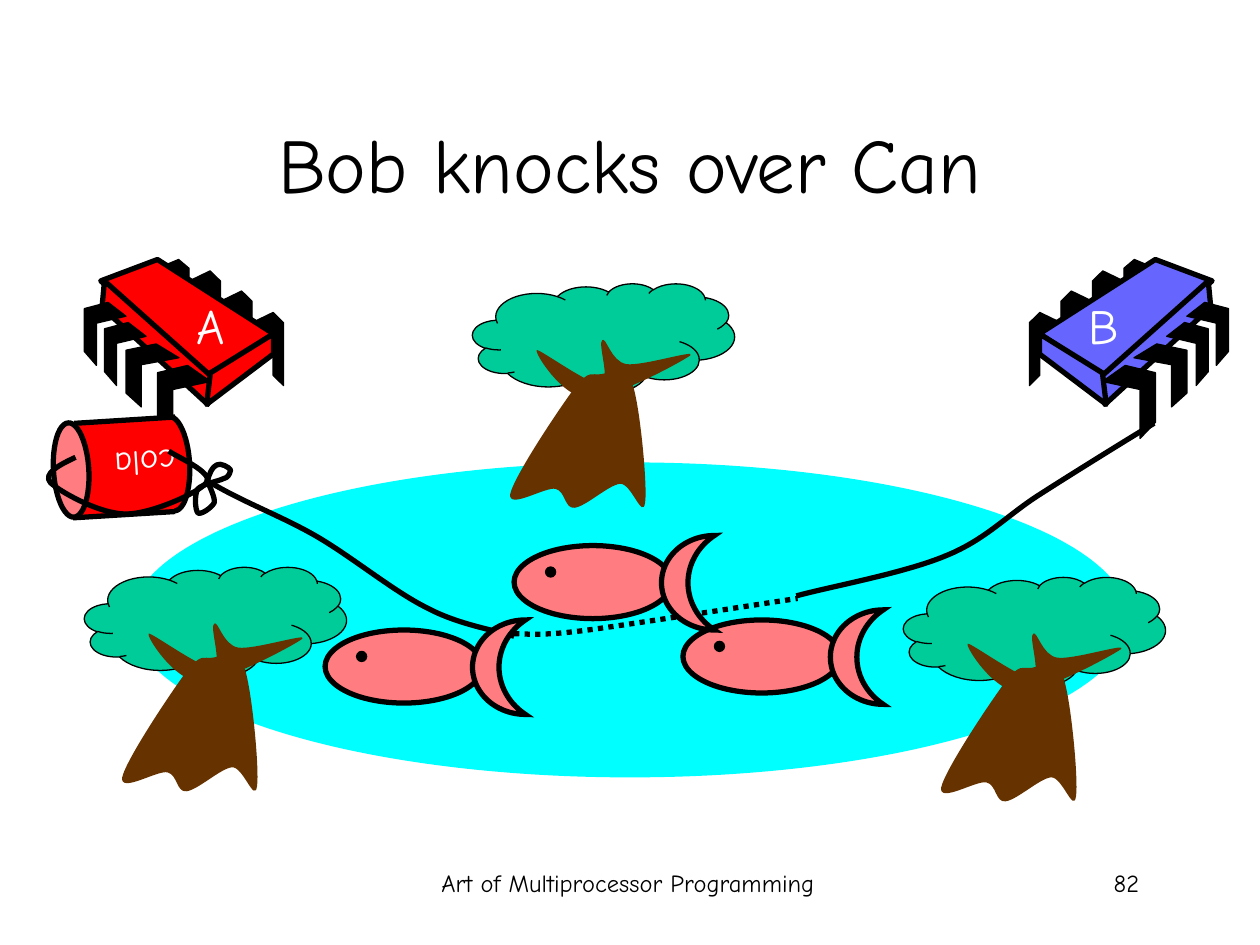
from dataclasses import dataclass

from lxml.etree import SubElement
from pptx import Presentation
from pptx.dml.color import RGBColor
from pptx.enum.dml import MSO_LINE
from pptx.enum.shapes import MSO_CONNECTOR, MSO_SHAPE
from pptx.enum.text import MSO_ANCHOR, MSO_AUTO_SIZE, PP_ALIGN
from pptx.oxml.ns import qn
from pptx.util import Inches, Pt

FONT = "Comic Neue"
BLACK = RGBColor(0x00, 0x00, 0x00)
WHITE = RGBColor(0xFF, 0xFF, 0xFF)
RED = RGBColor(0xFF, 0x00, 0x00)
VIOLET = RGBColor(0x66, 0x66, 0xFF)
CYAN = RGBColor(0x00, 0xFF, 0xFF)
GREEN = RGBColor(0x00, 0xCC, 0x99)
BROWN = RGBColor(0x66, 0x33, 0x00)
PINK = RGBColor(0xFF, 0x7C, 0x80)
THIN, THICK = 0.75, 3
MIRROR_SUM = 10.42

Points = list[tuple[float, float]]


@dataclass
class Chip:
    color: RGBColor
    mirrored: bool


@dataclass
class Spot:
    x: float
    y: float


BACK_LEG = [(0, 0.14), (0.67, 0), (1, 0.14), (1, 1), (0.67, 0.86), (0.67, 0.29), (0, 0.43)]
FRONT_LEG = [(0.57, 0), (1, 0.22), (0.29, 0.33), (0.29, 1), (0, 0.78), (0, 0.1)]
BACK_LEGS = [(2, 2.48, 0.25, 0.58), (1.75, 2.31, 0.25, 0.58),
             (1.5, 2.15, 0.25, 0.58), (1.25, 2.06, 0.25, 0.5)]
FRONT_LEGS = [(1.25, 2.9, 0.42, 0.58), (1, 2.73, 0.42, 0.5),
              (0.83, 2.56, 0.33, 0.5), (0.67, 2.4, 0.33, 0.5)]
CHIP_FACES = [
    [(1.25, 2.06), (2.17, 2.65), (1.65, 2.99), (0.8, 2.23)],
    [(0.83, 2.23), (1.67, 2.98), (1.65, 3.21), (0.81, 2.44)],
    [(2.17, 2.65), (2.17, 2.81), (1.64, 3.21), (1.67, 2.96)],
]
TRUNK = [(0.81, 0.83), (0.93, 0.68), (0.94, 0.73), (1.02, 0.72),
         (1.09, 0.71), (1.21, 0.63), (1.27, 0.8), (1.33, 0.97), (1.39, 1.61), (1.37, 1.74),
         (1.35, 1.88), (1.26, 1.58), (1.17, 1.59), (1.08, 1.6), (0.9, 1.77), (0.81, 1.78),
         (0.73, 1.79), (0.74, 1.65), (0.66, 1.63), (0.58, 1.61), (0.28, 1.8), (0.3, 1.67),
         (0.33, 1.53), (0.69, 0.99), (0.81, 0.83)]
BRANCHES = [(0.51, 0.53), (0.49, 0.55), (0.71, 0.9), (0.91, 0.91),
            (1.12, 0.92), (1.68, 0.61), (1.73, 0.57), (1.78, 0.52), (1.34, 0.66), (1.22, 0.64),
            (1.1, 0.62), (1.06, 0.42), (1.03, 0.45), (0.99, 0.47), (1.1, 0.78), (1.02, 0.8),
            (0.93, 0.81), (0.52, 0.51), (0.51, 0.53)]
BOW = [(1.65, 3.82), (1.65, 3.77), (1.69, 3.7), (1.72, 3.69),
       (1.75, 3.67), (1.82, 3.71), (1.83, 3.73), (1.82, 3.77), (1.81, 3.79), (1.77, 3.8),
       (1.73, 3.82), (1.61, 3.84), (1.57, 3.88), (1.54, 3.93), (1.55, 4.05), (1.57, 4.07),
       (1.59, 4.09), (1.68, 4.03), (1.7, 3.99), (1.71, 3.95), (1.66, 3.86), (1.65, 3.82)]
LOOP = [(0.6, 3.63), (0.47, 3.69), (0.34, 3.76), (0.4, 3.83),
        (0.47, 3.9), (0.79, 4.08), (1, 4.08), (1.2, 4.08), (1.58, 3.91), (1.64, 3.83),
        (1.7, 3.75), (1.39, 3.62), (1.34, 3.58)]
LEFT_ROPE = [(1.67, 3.83), (1.94, 3.99), (2.22, 4.09), (2.5, 4.25),
             (2.78, 4.41), (3.12, 4.69), (3.38, 4.82), (3.64, 4.96), (3.93, 5), (4.08, 5.05)]
RIGHT_ROPE = [(9.16, 3.36), (9.01, 3.45), (8.54, 3.74), (8.26, 3.92),
              (7.99, 4.09), (7.83, 4.28), (7.51, 4.41), (7.18, 4.55), (6.57, 4.66), (6.32, 4.73)]
SUNKEN_ROPE = [(4.08, 5.03), (4.18, 5.03), (4.29, 5.05), (4.67, 5),
               (5.04, 4.95), (6.06, 4.79), (6.33, 4.75)]


def paint(sp, fill: RGBColor | None, line: float | None):
    sp.shadow.inherit = False
    if fill is None:
        sp.fill.background()
    else:
        sp.fill.solid()
        sp.fill.fore_color.rgb = fill
    if line is None:
        sp.line.fill.background()
    else:
        sp.line.color.rgb = BLACK
        sp.line.width = Pt(line)
    return sp


def shape(shapes, kind, x: float, y: float, w: float, h: float, fill: RGBColor,
          line: float | None = None, rotation: float = 0):
    sp = shapes.add_shape(kind, Inches(x), Inches(y), Inches(w), Inches(h))
    sp.rotation = rotation
    return paint(sp, fill, line)


def polygon(shapes, points: Points, fill: RGBColor | None = None,
            line: float | None = None, close: bool = True):
    start, *rest = [(Inches(x), Inches(y)) for x, y in points]
    builder = shapes.build_freeform(*start)
    builder.add_line_segments(rest, close=close)
    return paint(builder.convert_to_shape(), fill, line)


def curve(shapes, points: Points, fill: RGBColor | None = None,
          line: float | None = None, close: bool = True):
    sp = polygon(shapes, points, fill, line, close)
    segments = list(sp._element.iter(qn("a:lnTo")))[:len(points) - 1]
    for first, second, end in zip(*[iter(segments)] * 3):
        first.tag = qn("a:cubicBezTo")
        first.extend([second[0], end[0]])
        for emptied in (second, end):
            emptied.getparent().remove(emptied)
    return sp


def rope(shapes, points: Points):
    return curve(shapes, points, line=THICK, close=False)


def write(tf, text: str, *, size: float, color: RGBColor = BLACK, align=PP_ALIGN.RIGHT):
    p = tf.paragraphs[0]
    p.alignment = align
    r = p.add_run()
    r.text = text
    r.font.name, r.font.size, r.font.color.rgb = FONT, Pt(size), color


def label(shapes, text: str, x: float, y: float, w: float, h: float, *,
          wrap: bool = False, rotation: float = 0, **text_format):
    tb = shapes.add_textbox(Inches(x), Inches(y), Inches(w), Inches(h))
    tb.rotation = rotation
    tf = tb.text_frame
    tf.word_wrap = wrap
    tf.auto_size = MSO_AUTO_SIZE.NONE if wrap else MSO_AUTO_SIZE.SHAPE_TO_FIT_TEXT
    write(tf, text, **text_format)


def draw_chip(shapes, chip: Chip):
    def face(points: Points, fill: RGBColor, line: float):
        polygon(shapes, [(MIRROR_SUM - x if chip.mirrored else x, y) for x, y in points],
                fill, line)

    def legs(outline: Points, boxes):
        for x, y, w, h in boxes:
            face([(x + u * w, y + v * h) for u, v in outline], BLACK, THIN)

    legs(BACK_LEG, BACK_LEGS)
    for points in CHIP_FACES:
        face(points, chip.color, THICK)
    legs(FRONT_LEG, FRONT_LEGS)


def draw_tree(shapes, spot: Spot):
    cloud = shape(shapes, MSO_SHAPE.CLOUD_CALLOUT, spot.x, spot.y, 2.08, 0.87, GREEN, THIN)
    cloud.adjustments[0], cloud.adjustments[1] = 0.018, 0.493
    for part in (TRUNK, BRANCHES):
        curve(shapes, [(spot.x + x, spot.y + y) for x, y in part], BROWN)


def draw_can(shapes):
    shape(shapes, MSO_SHAPE.OVAL, 0.99, 3.54, 0.75, 0.28, RED, THICK, 266.5)
    shape(shapes, MSO_SHAPE.RECTANGLE, 0.59, 3.31, 0.75, 0.8, RED, rotation=266.5)
    shape(shapes, MSO_SHAPE.OVAL, 0.19, 3.59, 0.75, 0.28, PINK, THICK, 266.5)
    for x1, y1, x2, y2 in ((0.58, 4.11, 1.39, 4.06), (0.59, 3.36, 1.39, 3.31)):
        edge = shapes.add_connector(MSO_CONNECTOR.STRAIGHT, Inches(x1), Inches(y1),
                                    Inches(x2), Inches(y2))
        edge.line.color.rgb, edge.line.width = BLACK, Pt(THICK)
        SubElement(edge._element.spPr, qn("a:effectLst"))
    label(shapes, "cola", 0.81, 3.47, 0.72, 0.44, rotation=176.5, size=20, color=WHITE)


def draw_fish(shapes, spot: Spot):
    shape(shapes, MSO_SHAPE.OVAL, spot.x, spot.y, 1.25, 0.58, PINK, THICK)
    tail = shape(shapes, MSO_SHAPE.MOON, spot.x + 1.17, spot.y - 0.08, 0.42, 0.75, PINK, THICK)
    SubElement(tail.line._get_or_add_ln(), qn("a:miter"), lim="800000")
    shape(shapes, MSO_SHAPE.OVAL, spot.x + 0.25, spot.y + 0.17, 0.08, 0.08, BLACK, THIN)


def main():
    prs = Presentation()
    prs.slide_width, prs.slide_height = Inches(10), Inches(7.5)
    s = prs.slides.add_slide(prs.slide_layouts[5])
    shapes = s.shapes
    title = shapes.title
    title.left, title.top, title.width, title.height = map(Inches, (0.75, 0.67, 8.5, 1.25))
    title.text_frame.vertical_anchor = MSO_ANCHOR.MIDDLE
    write(title.text_frame, "Bob knocks over Can", size=44, align=PP_ALIGN.CENTER)
    label(shapes, "Art of Multiprocessor Programming", 3.4, 6.84, 3.17, 0.5,
          wrap=True, size=14, align=PP_ALIGN.CENTER)
    label(shapes, "82", 7.06, 6.84, 2.08, 0.5, wrap=True, size=14)

    for chip in (Chip(RED, False), Chip(VIOLET, True)):
        draw_chip(shapes.add_group_shape().shapes, chip)
    shape(shapes, MSO_SHAPE.OVAL, 1.04, 3.67, 7.92, 2.5, CYAN)
    label(shapes, "A", 1.46, 2.3, 0.42, 0.57, size=28, color=WHITE)
    label(shapes, "B", 8.54, 2.3, 0.44, 0.57, size=28, color=WHITE)
    for spot in (Spot(3.75, 2.25), Spot(7.17, 4.58), Spot(0.67, 4.5)):
        draw_tree(shapes.add_group_shape().shapes, spot)
    draw_can(shapes.add_group_shape().shapes)
    knot = shapes.add_group_shape().shapes
    curve(knot, BOW, line=THICK)
    rope(knot, LOOP)
    rope(shapes, LEFT_ROPE)
    rope(shapes, RIGHT_ROPE)
    rope(shapes, SUNKEN_ROPE).line.dash_style = MSO_LINE.ROUND_DOT
    for spot in (Spot(5.42, 4.92), Spot(4.08, 4.33), Spot(2.58, 5)):
        draw_fish(shapes.add_group_shape().shapes, spot)
    prs.save("out.pptx")


if __name__ == "__main__":
    main()
